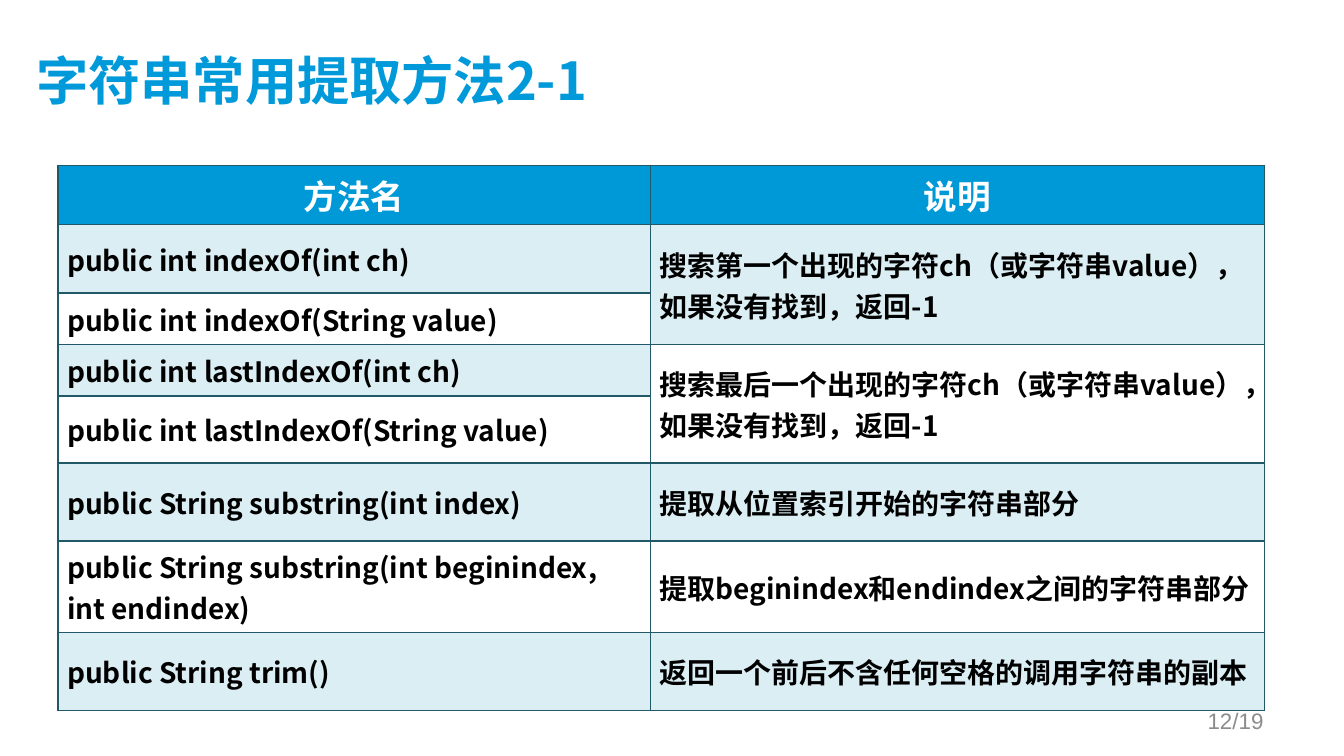
from dataclasses import dataclass

from lxml import etree
from pptx import Presentation
from pptx import util as u
from pptx.dml.color import RGBColor
from pptx.enum import text as t
from pptx.oxml.ns import qn


@dataclass(frozen=True)
class Theme:
    font: str = "Noto Sans CJK SC"
    number_font: str = "Arial"
    title: str = "0099D9"
    header: str = "0099D8"
    band: str = "DBEEF4"
    plain: str = "FFFFFF"
    ink: str = "000000"
    border: str = "215968"
    muted: str = "8C8C8C"
    title_size: int = 28
    header_size: int = 18
    body_size: int = 15
    number_size: int = 12


THEME = Theme()
WIDTH = 10
HEIGHT = WIDTH * 9 / 16
COLUMNS = [4.41, 4.57]
ROWS = [0.38, 0.51, 0.33, 0.33, 0.5, 0.58, 0.58, 0.58]
HEADINGS = ["方法名", "说明"]

# Each group: method signatures sharing one description
METHODS = [
    (["public int indexOf(int ch) ", "public int indexOf(String value)"],
     "搜索第一个出现的字符ch（或字符串value），如果没有找到，返回-1"),
    (["public int lastIndexOf(int ch) ", "public int lastIndexOf(String value)"],
     "搜索最后一个出现的字符ch（或字符串value），如果没有找到，返回-1"),
    (["public String substring(int index)"], "提取从位置索引开始的字符串部分"),
    (["public String substring(int beginindex, int endindex)"],
     "提取beginindex和endindex之间的字符串部分"),
    (["public String trim()"], "返回一个前后不含任何空格的调用字符串的副本"),
]


def add_text(frame, words, size, color, align, font=THEME.font, bold=True):
    paragraph = frame.paragraphs[0]
    paragraph.alignment = align
    run = paragraph.add_run()
    run.text = words
    run.font.size = u.Pt(size)
    run.font.bold = bold
    run.font.name = font
    run.font.color.rgb = RGBColor.from_string(color)
    east_asian = etree.SubElement(run.font._element, qn("a:ea"))
    east_asian.set("typeface", font)
    return paragraph


def set_margins(target, left, top, right, bottom):
    target.margin_left, target.margin_top = u.Inches(left), u.Inches(top)
    target.margin_right, target.margin_bottom = u.Inches(right), u.Inches(bottom)


def to_lengths(shares):
    """Turn shares of the slide (left, top, width, height) into lengths."""
    return [u.Inches(share * side)
            for share, side in zip(shares, (WIDTH, HEIGHT) * 2)]


def add_borders(cell):
    properties = cell._tc.get_or_add_tcPr()
    for index, side in enumerate(("a:lnL", "a:lnR", "a:lnT", "a:lnB")):
        line = etree.Element(qn(side), w=str(u.Pt(1)))
        fill = etree.SubElement(line, qn("a:solidFill"))
        etree.SubElement(fill, qn("a:srgbClr"), val=THEME.border)
        properties.insert(index, line)


def fill_cell(cell, words, color, ink=THEME.ink, size=THEME.body_size,
              align=t.PP_ALIGN.LEFT):
    cell.fill.solid()
    cell.fill.fore_color.rgb = RGBColor.from_string(color)
    paragraph = add_text(cell.text_frame, words, size, ink, align)
    spacing = etree.Element(qn("a:spcBef"))
    etree.SubElement(spacing, qn("a:spcPct"), val="20000")
    paragraph._p.get_or_add_pPr().insert(0, spacing)


def build_title(slide, box):
    title = slide.shapes.title
    title.left, title.top, title.width, title.height = to_lengths(box)
    frame = title.text_frame
    frame.auto_size = t.MSO_AUTO_SIZE.NONE
    frame.vertical_anchor = t.MSO_ANCHOR.MIDDLE
    set_margins(frame, 0, 0, 0.1, 0.05)
    add_text(frame, "字符串常用提取方法2-1", THEME.title_size, THEME.title,
             t.PP_ALIGN.LEFT)


def build_methods(slide, left, top):
    table = slide.shapes.add_table(
        len(ROWS), len(COLUMNS), u.Inches(left), u.Inches(top),
        u.Inches(sum(COLUMNS)), u.Inches(sum(ROWS))).table
    table.first_row = table.horz_banding = False
    for column, width in zip(table.columns, COLUMNS):
        column.width = u.Inches(width)
    for row, height in zip(table.rows, ROWS):
        row.height = u.Inches(height)
    for cell in table.iter_cells():
        cell.vertical_anchor = t.MSO_ANCHOR.MIDDLE
        set_margins(cell, 0.07, 0.04, 0.07, 0.04)
        add_borders(cell)

    # Header
    for column, heading in enumerate(HEADINGS):
        fill_cell(table.cell(0, column), heading, THEME.header, THEME.plain,
                  THEME.header_size, t.PP_ALIGN.CENTER)

    # Signatures band by row, descriptions band by group
    bands = (THEME.band, THEME.plain)
    row = 1
    for group, (signatures, description) in enumerate(METHODS):
        first = table.cell(row, 1)
        if len(signatures) > 1:
            first.merge(table.cell(row + len(signatures) - 1, 1))
        fill_cell(first, description, bands[group % 2])
        for signature in signatures:
            fill_cell(table.cell(row, 0), signature, bands[(row - 1) % 2])
            row += 1


def build_page_number(slide, box):
    frame = slide.shapes.add_textbox(*to_lengths(box)).text_frame
    frame.word_wrap = True
    frame.vertical_anchor = t.MSO_ANCHOR.MIDDLE
    add_text(frame, "12/19", THEME.number_size, THEME.muted,
             t.PP_ALIGN.RIGHT, THEME.number_font, bold=False)


deck = Presentation()
deck.slide_width, deck.slide_height = u.Inches(WIDTH), u.Inches(HEIGHT)
page = deck.slides.add_slide(deck.slide_layouts[5])
build_title(page, (0.027, 0.041, 0.895, 0.137))
build_methods(page, 0.43, 1.23)
build_page_number(page, (0.717, 0.926, 0.233, 0.053))
deck.save("out.pptx")
